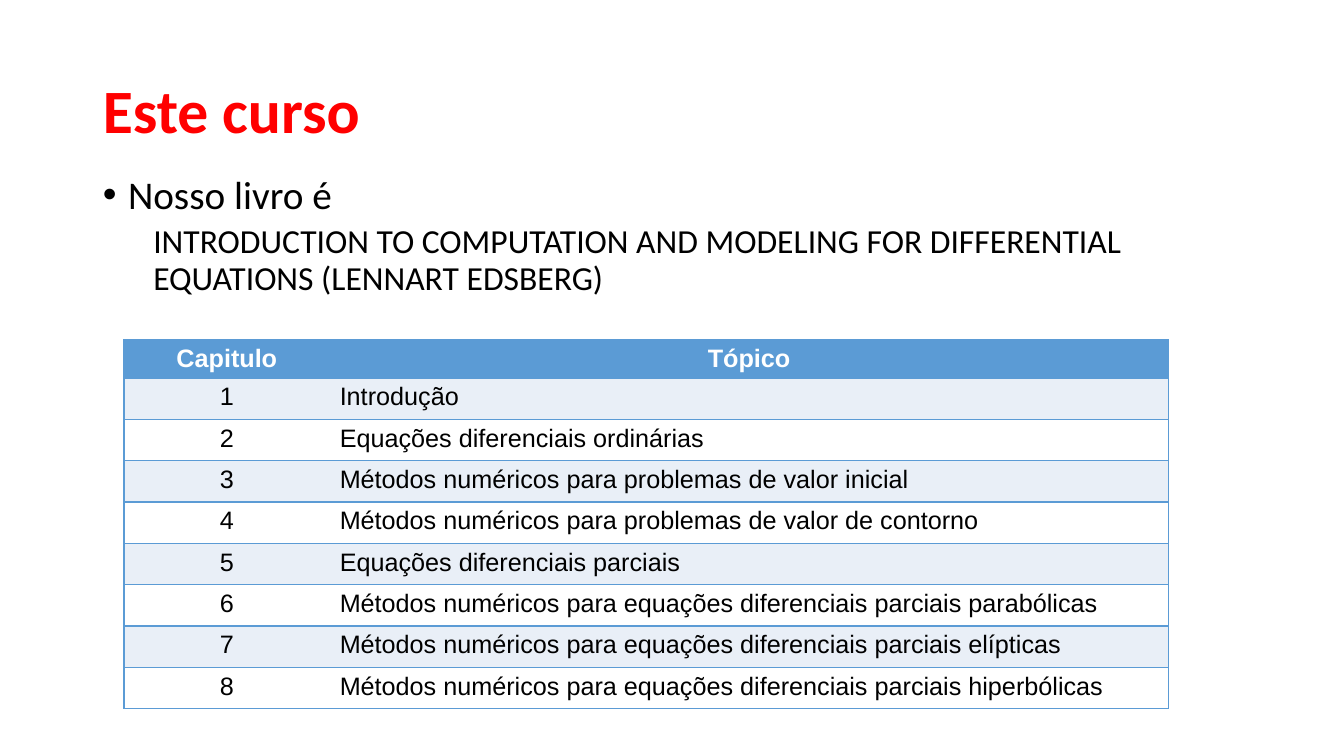
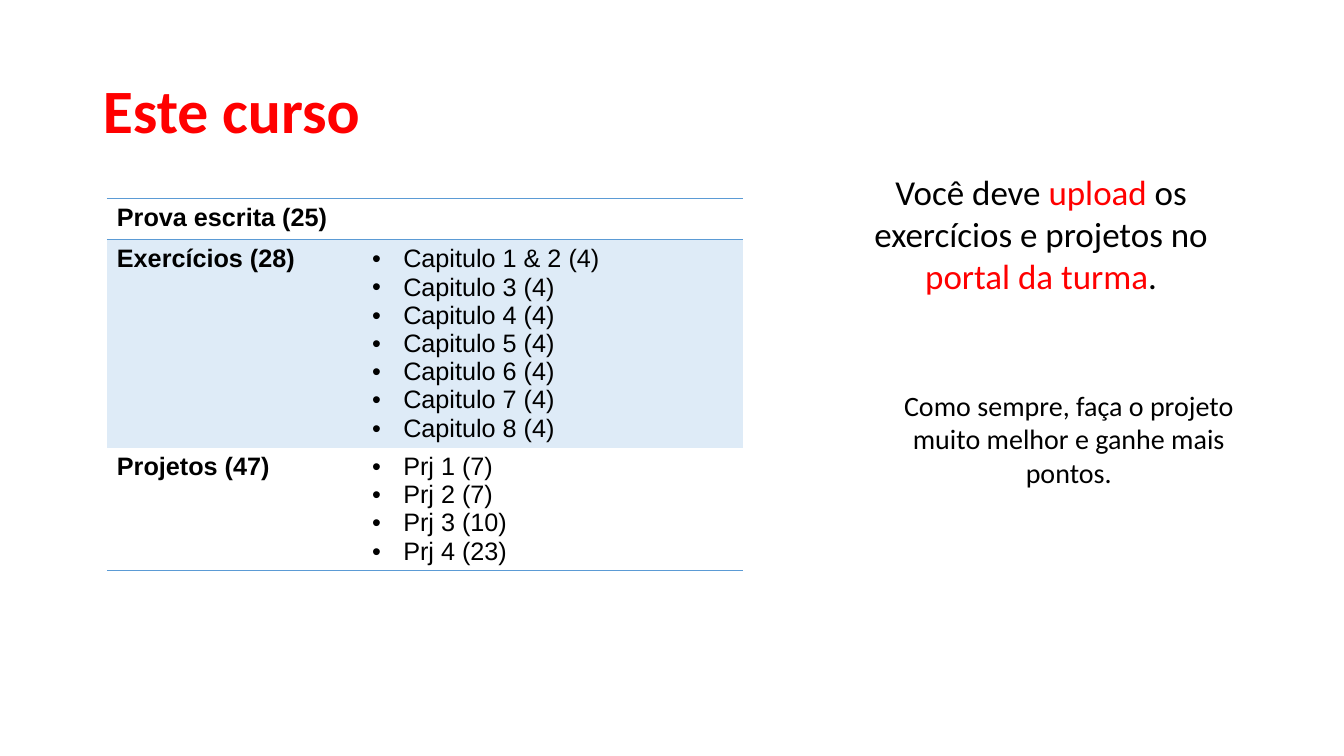
import lxml.etree
import pptx
import pptx.dml.color
import pptx.enum.text
import pptx.oxml
import pptx.oxml.ns
import pptx.util

Inches = pptx.util.Inches
Pt = pptx.util.Pt
qn = pptx.oxml.ns.qn
ALIGN = pptx.enum.text.PP_ALIGN
BLUE, PALE, TINT = "5B9BD5", "E9EFF7", "DEEBF7"
RED, BLACK, WHITE = "FF0000", "000000", "FFFFFF"


def color(value):
    return pptx.dml.color.RGBColor.from_string(value)


def style_cell(cell, fill, sides):
    properties = cell._tc.get_or_add_tcPr()
    for side in "LRTB":
        line = lxml.etree.SubElement(properties, qn("a:ln" + side), w=str(Pt(1)))
        if side in sides:
            paint = lxml.etree.SubElement(line, qn("a:solidFill"))
            lxml.etree.SubElement(paint, qn("a:srgbClr"), val=BLUE)
        else:
            lxml.etree.SubElement(line, qn("a:noFill"))
    if fill:
        cell.fill.solid()
        cell.fill.fore_color.rgb = color(fill)
    else:
        cell.fill.background()
    for para in cell.text_frame.paragraphs:
        para.font.name = "Arial"
        para.font.size = Pt(18)
        para.font.bold = False
        para.font.color.rgb = color(BLACK)


deck = pptx.Presentation()
deck.slide_width = Inches(13.33)
deck.slide_height = Inches(7.5)
topics_page = deck.slides.add_slide(deck.slide_layouts[1])
grading_page = deck.slides.add_slide(deck.slide_layouts[5])

for page in deck.slides:
    title = page.shapes.title
    title.left, title.top = Inches(0.92), Inches(0.4)
    title.width, title.height = Inches(11.5), Inches(1.45)
    title.text_frame.text = "Este curso"
    title.text_frame.auto_size = pptx.enum.text.MSO_AUTO_SIZE.NONE
    title.text_frame.vertical_anchor = pptx.enum.text.MSO_ANCHOR.MIDDLE
    para = title.text_frame.paragraphs[0]
    para.alignment = ALIGN.LEFT
    para.line_spacing = 0.9
    para.font.name = "Calibri"
    para.font.size = Pt(44)
    para.font.bold = True
    para.font.color.rgb = color(RED)

body = topics_page.placeholders[1]
body.left, body.top = Inches(0.92), Inches(1.69)
body.width, body.height = Inches(11.19), Inches(1.4)
body.text_frame.text = (
    "Nosso livro é\n"
    "INTRODUCTION TO COMPUTATION AND MODELING FOR DIFFERENTIAL EQUATIONS (LENNART EDSBERG)"
)
body.text_frame.auto_size = pptx.enum.text.MSO_AUTO_SIZE.NONE
body_styles = [(28, 0.25, -0.25, 0, "•"), (24, 0.5, 0, 5, None)]
for level, (size, margin, indent, before, bullet) in enumerate(body_styles):
    para = body.text_frame.paragraphs[level]
    para.level = level
    para.line_spacing = 0.9
    para.space_before = Pt(before)
    properties = para._p.get_or_add_pPr()
    properties.set("marL", str(Inches(margin)))
    properties.set("indent", str(Inches(indent)))
    if bullet:
        lxml.etree.SubElement(properties, qn("a:buChar"), char=bullet)
    else:
        lxml.etree.SubElement(properties, qn("a:buNone"))
    para.font.name = "Calibri"
    para.font.size = Pt(size)
    para.font.color.rgb = color(BLACK)

topics = [
    "Introdução",
    "Equações diferenciais ordinárias",
    "Métodos numéricos para problemas de valor inicial",
    "Métodos numéricos para problemas de valor de contorno",
    "Equações diferenciais parciais",
    "Métodos numéricos para equações diferenciais parciais parabólicas",
    "Métodos numéricos para equações diferenciais parciais elípticas",
    "Métodos numéricos para equações diferenciais parciais hiperbólicas",
]
topic_rows = [("Capitulo", "Tópico")]
topic_rows += [(str(number), topic) for number, topic in enumerate(topics, 1)]
table = topics_page.shapes.add_table(
    len(topic_rows), 2, Inches(1.23), Inches(3.37), Inches(10.36), Inches(3.66)
).table
table.columns[0].width = Inches(2.04)
table.columns[1].width = Inches(8.32)
for row, texts in enumerate(topic_rows):
    table.rows[row].height = Inches(0.41 if row else 0.38)
    fill = BLUE if row == 0 else PALE if row % 2 else WHITE
    for column, text in enumerate(texts):
        cell = table.cell(row, column)
        cell.text = text
        style_cell(cell, fill, "RTB" if column else "LTB")
        para = cell.text_frame.paragraphs[0]
        para.alignment = ALIGN.CENTER if row == 0 or column == 0 else ALIGN.LEFT
        if row == 0:
            para.font.bold = True
            para.font.color.rgb = color(WHITE)

chapters = ["1 & 2", "3", "4", "5", "6", "7", "8"]
projects = [7, 7, 10, 23]
grading_rows = [
    ("Prova escrita (25)", [], 0.41, None, "TB"),
    ("Exercícios (28)", [f"Capitulo {chapter} (4)" for chapter in chapters], 2.06, TINT, "T"),
    ("Projetos (47)", [f"Prj {number} ({points})" for number, points in enumerate(projects, 1)],
     1.22, None, "B"),
]
table = grading_page.shapes.add_table(
    len(grading_rows), 2, Inches(1.06), Inches(1.97), Inches(6.31), Inches(3.69)
).table
table.first_row = False
table.horz_banding = False
table.columns[0].width = Inches(2.53)
table.columns[1].width = Inches(3.78)
for row, (label, items, height, fill, sides) in enumerate(grading_rows):
    table.rows[row].height = Inches(height)
    label_cell, items_cell = table.cell(row, 0), table.cell(row, 1)
    label_cell.text = label
    items_cell.text = "\n".join(items)
    if items:
        for para in items_cell.text_frame.paragraphs:
            properties = para._p.get_or_add_pPr()
            properties.set("marL", str(Inches(0.31)))
            properties.set("indent", str(Inches(-0.31)))
            lxml.etree.SubElement(properties, qn("a:buFont"), typeface="Arial")
            lxml.etree.SubElement(properties, qn("a:buChar"), char="•")
    for cell in (label_cell, items_cell):
        style_cell(cell, fill, sides)
    label_cell.text_frame.paragraphs[0].font.bold = True

notes = [
    (8.4, 1.59, 3.85, 2.16, 25, [
        ("Você deve ", BLACK), ("upload", RED), (" os exercícios e projetos no ", BLACK),
        ("portal da turma", RED), (".", BLACK),
    ]),
    (8.79, 3.75, 3.62, 1.74, 20, [
        ("Como sempre, faça o projeto muito melhor e ganhe mais pontos.", BLACK),
    ]),
]
for left, top, width, height, size, spans in notes:
    box = grading_page.shapes.add_textbox(
        Inches(left), Inches(top), Inches(width), Inches(height)
    )
    frame = box.text_frame
    frame.word_wrap = True
    frame.margin_top = frame.margin_bottom = Inches(0.1)
    para = frame.paragraphs[0]
    para.alignment = ALIGN.CENTER
    para.font.name = "Calibri"
    para.font.size = Pt(size)
    for text, tone in spans:
        span = para.add_run()
        span.text = text
        span.font.color.rgb = color(tone)

deck.save("out.pptx")
